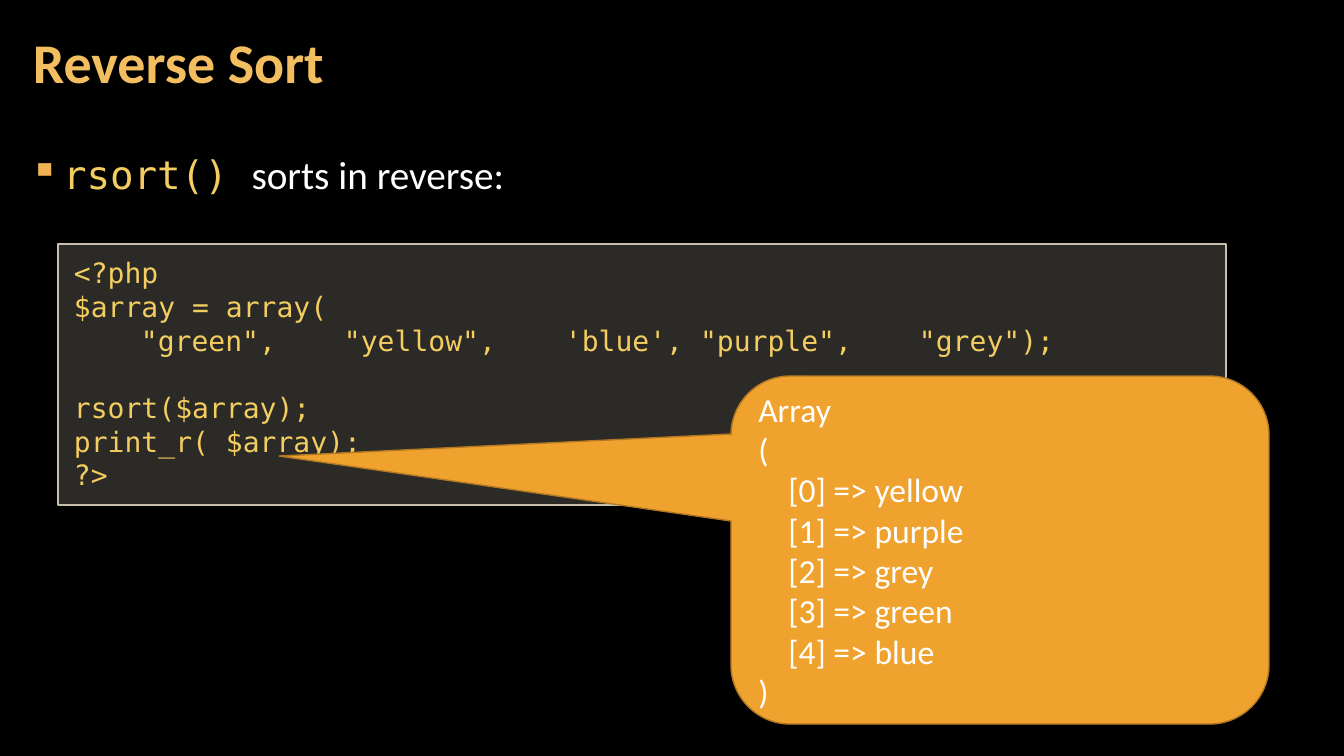
import lxml.etree
import pptx
import pptx.util
import pptx.dml.color
import pptx.enum.shapes
import pptx.enum.text
import pptx.oxml.ns
from dataclasses import dataclass

PX = 914400 / 100.8


@dataclass(frozen=True)
class Theme:
    background: str = "000000"
    title: str = "F3BE60"
    code: str = "F3CD60"
    text: str = "FFFFFF"
    bullet: str = "F2B254"
    panel: str = "D9D5C7"
    panel_line: str = "C7BFAC"
    callout: str = "F0A22E"
    callout_line: str = "B27822"
    sans: str = "Calibri"
    mono: str = "DejaVu Sans Mono"
    title_size: int = 40
    body_size: int = 28
    callout_size: int = 24
    code_size: int = 20


THEME = Theme()


def px(n):
    return pptx.util.Emu(round(n * PX))


def rgb(color):
    return pptx.dml.color.RGBColor.from_string(color)


def sub(parent, tag, **attrs):
    e = lxml.etree.SubElement(parent, pptx.oxml.ns.qn(tag))
    for name, value in attrs.items():
        e.set(name, str(value))
    return e


def style(r, font, size, color, bold=False):
    r.font.name = font
    r.font.size = pptx.util.Pt(size)
    r.font.color.rgb = rgb(color)
    r.font.bold = bold


def indent(p, left, first=0):
    pPr = p._p.get_or_add_pPr()
    pPr.set("marL", str(px(left)))
    pPr.set("indent", str(px(first)))
    return pPr


def frame(sp, inset_x, inset_y, anchor):
    tf = sp.text_frame
    tf.word_wrap = True
    tf.margin_left = tf.margin_right = px(inset_x)
    tf.margin_top = tf.margin_bottom = px(inset_y)
    tf.vertical_anchor = anchor
    return tf


def add_panel(s, kind, box, fill, line):
    sp = s.shapes.add_shape(kind, *map(px, box))
    sp.shadow.inherit = False
    sp.fill.solid()
    sp.fill.fore_color.rgb = rgb(fill)
    sp.line.color.rgb = rgb(line)
    sp.line.width = pptx.util.Pt(1)
    return sp


def write_lines(tf, lines, font, size, color):
    tf.text = "\n".join(lines)
    for p in tf.paragraphs:
        p.alignment = pptx.enum.text.PP_ALIGN.LEFT
        for r in p.runs:
            style(r, font, size, color)


def add_title(s, box, text):
    tf = frame(s.shapes.add_textbox(*map(px, box)), 12, 4,
               pptx.enum.text.MSO_ANCHOR.MIDDLE)
    tf.text = text
    p = tf.paragraphs[0]
    p.line_spacing = 0.9
    style(p.runs[0], THEME.sans, THEME.title_size, THEME.title, True)


def add_bullet(s, box, function, text):
    tf = frame(s.shapes.add_textbox(*map(px, box)), 12, 4,
               pptx.enum.text.MSO_ANCHOR.TOP)
    p = tf.paragraphs[0]
    for words, font, color in ((function, THEME.mono, THEME.code),
                               (text, THEME.sans, THEME.text)):
        r = p.add_run()
        r.text = words
        style(r, font, THEME.body_size, color)
    pPr = indent(p, 33, -33)
    p.line_spacing = 1.05
    p.space_before = p.space_after = pptx.util.Pt(6)
    sub(sub(pPr, "a:buClr"), "a:srgbClr", val=THEME.bullet)
    sub(pPr, "a:buChar", char="▪")


def add_code(s, box, lines, tabs, tabbed_line, spaced_line):
    sp = add_panel(s, pptx.enum.shapes.MSO_SHAPE.RECTANGLE, box,
                   THEME.panel, THEME.panel_line)
    color = sp.fill._xPr.find(".//" + pptx.oxml.ns.qn("a:srgbClr"))
    sub(color, "a:alpha", val=20000)
    tf = frame(sp, 16, 12, pptx.enum.text.MSO_ANCHOR.TOP)
    write_lines(tf, lines, THEME.mono, THEME.code_size, THEME.code)
    tab_list = sub(tf.paragraphs[tabbed_line]._p.get_or_add_pPr(), "a:tabLst")
    for tab in tabs:
        sub(tab_list, "a:tab", pos=px(tab), algn="l")
    tf.paragraphs[spaced_line].space_before = pptx.util.Pt(24)


def add_output(s, box, items):
    sp = add_panel(s, pptx.enum.shapes.MSO_SHAPE.ROUNDED_RECTANGULAR_CALLOUT,
                   box, THEME.callout, THEME.callout_line)
    for i, value in enumerate((-1.34, -0.27, 0.17)):
        sp.adjustments[i] = value
    tf = frame(sp, 10, 5, pptx.enum.text.MSO_ANCHOR.MIDDLE)
    rows = [f"[{i}] => {item}" for i, item in enumerate(items)]
    write_lines(tf, ["Array", "(", *rows, ")"],
                THEME.sans, THEME.callout_size, THEME.text)
    for p in tf.paragraphs[2:-1]:
        indent(p, 30)


def main():
    prs = pptx.Presentation()
    prs.slide_width, prs.slide_height = px(1344), px(756)
    s = prs.slides.add_slide(prs.slide_layouts[6])
    s.background.fill.solid()
    s.background.fill.fore_color.rgb = rgb(THEME.background)
    add_title(s, (21, 4, 1055, 122), "Reverse Sort")
    add_bullet(s, (18, 144, 1301, 74), "rsort() ", "sorts in reverse:")
    add_code(s, (58, 244, 1168, 261), [
        "<?php",
        "$array = array(",
        "\t\"green\",\t\"yellow\",\t'blue', \"purple\",\t\"grey\");",
        "rsort($array);",
        "print_r( $array);",
        "?>",
    ], (67, 270, 491, 845), 2, 3)
    add_output(s, (731, 376, 538, 348),
               ("yellow", "purple", "grey", "green", "blue"))
    prs.save("out.pptx")


if __name__ == "__main__":
    main()
